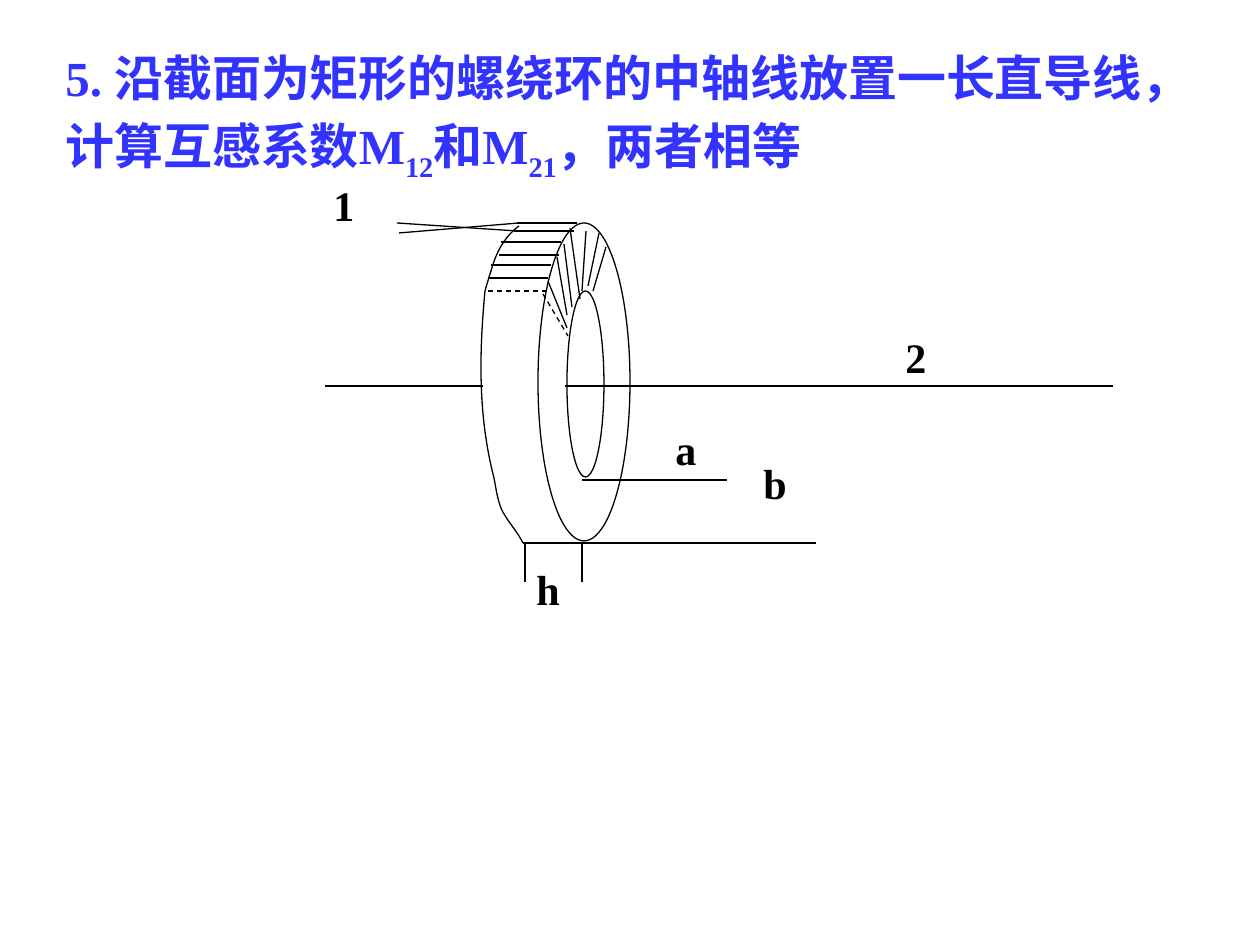
from lxml.etree import SubElement
from pptx import Presentation
from pptx.dml.color import RGBColor
from pptx.enum.dml import MSO_LINE
from pptx.enum.shapes import MSO_CONNECTOR, MSO_SHAPE
from pptx.enum.text import MSO_ANCHOR, MSO_AUTO_SIZE as AUTO_SIZE, PP_ALIGN
from pptx.oxml.ns import qn
from pptx.util import Pt

PX = 914400 / 126
FONT = "Times New Roman"
BLACK, BLUE = "000000", "3333FF"

# Title runs: text, is subscript
TITLE = [
    ("5. 沿截面为矩形的螺绕环的中轴线放置一长直导线，计算互感系数M", False),
    ("12", True),
    ("和M", False),
    ("21", True),
    ("，两者相等", False),
]
TITLE_BOX = (53, 32, 1173, 157)

# Labels: text, left, top, width
LABELS = [("1", 321, 173, 45), ("a", 663, 417, 45), ("b", 751, 451, 48),
          ("2", 893, 325, 45), ("h", 524, 557, 48)]
LABEL_HEIGHT = 63

# Front face of the ring: outer and inner rim
RIMS = [(538, 223, 92, 318), (567, 291, 37, 186)]

# Back edge: start point, then three points for each Bezier curve
BACK_EDGE = [
    (519, 226),
    (504, 237), (496, 253), (491, 271),
    (489, 277), (485, 291), (485, 291),
    (479, 354), (478, 416), (494, 478),
    (496, 488), (498, 505), (504, 514),
    (510, 524), (518, 533), (523, 543),
]

# Horizontal windings over the rim: left, y; the last one is dashed
WINDING_WIDTH = 60
WINDINGS = [(514, 231), (501, 242), (499, 255), (491, 265), (488, 278), (488, 291)]

# Windings on the front face; the last one is dashed
FACE_WINDINGS = [
    (606, 247, 593, 291), (599, 233, 588, 286), (586, 231, 582, 291),
    (570, 228, 580, 299), (564, 244, 572, 307), (557, 257, 567, 315),
    (548, 281, 567, 328), (543, 294, 568, 336),
]

LINES = [
    (325, 386, 483, 386), (565, 386, 1113, 386),  # straight wire on the axis
    (577, 223, 517, 223), (580, 543, 523, 543),   # top and bottom edges
    (397, 223, 517, 231), (399, 233, 519, 223),   # coil leads
    (582, 480, 727, 480), (577, 543, 816, 543),   # radius marks a and b
    (525, 543, 525, 582), (582, 543, 582, 582),   # height marks h
]


def px(*values):
    return [round(value * PX) for value in values]


def color(value):
    return RGBColor.from_string(value)


def outline(shape):
    shape.line.color.rgb = color(BLACK)
    shape.line.width = Pt(0.75)


def add_line(shapes, ends, dashed=False):
    line = shapes.add_connector(MSO_CONNECTOR.STRAIGHT, *px(*ends))
    outline(line)
    if dashed:
        line.line.dash_style = MSO_LINE.DASH
    SubElement(line._element.spPr, qn("a:effectLst"))


def add_lines(shapes, all_ends):
    """Draw a set of windings whose last one is dashed."""
    for ends in all_ends:
        add_line(shapes, ends, dashed=ends == all_ends[-1])


def add_back_edge(shapes):
    builder = shapes.build_freeform(*BACK_EDGE[0], scale=PX)
    builder.add_line_segments(BACK_EDGE[1:], close=False)
    edge = builder.convert_to_shape()
    edge.shadow.inherit = False
    edge.fill.background()
    outline(edge)
    # Turn each three line segments into one cubic curve
    contour = edge._element.find(".//" + qn("a:path"))
    segments = contour.findall(qn("a:lnTo"))
    for start in range(0, len(segments), 3):
        curve = SubElement(contour, qn("a:cubicBezTo"))
        for segment in segments[start:start + 3]:
            curve.append(segment[0])
            contour.remove(segment)


def add_text(shapes, box, runs, size, text_color, wrap):
    frame = shapes.add_textbox(*px(*box)).text_frame
    frame.word_wrap = wrap
    frame.auto_size = AUTO_SIZE.SHAPE_TO_FIT_TEXT
    frame.vertical_anchor = MSO_ANCHOR.MIDDLE
    paragraph = frame.paragraphs[0]
    for text, subscript in runs:
        run = paragraph.add_run()
        run.text = text
        run.font.name = FONT
        run.font.size = Pt(size)
        run.font.bold = True
        run.font.color.rgb = color(text_color)
        if subscript:
            run.font._element.set("baseline", "-25000")
    return paragraph


def main():
    presentation = Presentation()
    presentation.slide_width, presentation.slide_height = px(1260, 945)
    slide = presentation.slides.add_slide(presentation.slide_layouts[6])

    # Title
    title = add_text(slide.shapes, TITLE_BOX, TITLE, 28, BLUE, wrap=True)
    title.line_spacing = 1.15

    # Ring, wire and dimension marks
    drawing = slide.shapes.add_group_shape().shapes
    for box in RIMS:
        rim = drawing.add_shape(MSO_SHAPE.OVAL, *px(*box))
        rim.shadow.inherit = False
        rim.fill.background()
        outline(rim)
    add_back_edge(drawing)
    add_lines(drawing, [(x, y, x + WINDING_WIDTH, y) for x, y in WINDINGS])
    add_lines(drawing, FACE_WINDINGS)
    for ends in LINES:
        add_line(drawing, ends)

    # Labels
    for text, left, top, width in LABELS:
        box = (left, top, width, LABEL_HEIGHT)
        label = add_text(drawing, box, [(text, False)], 24, BLACK, wrap=False)
        label.alignment = PP_ALIGN.CENTER

    presentation.save("out.pptx")


if __name__ == "__main__":
    main()
